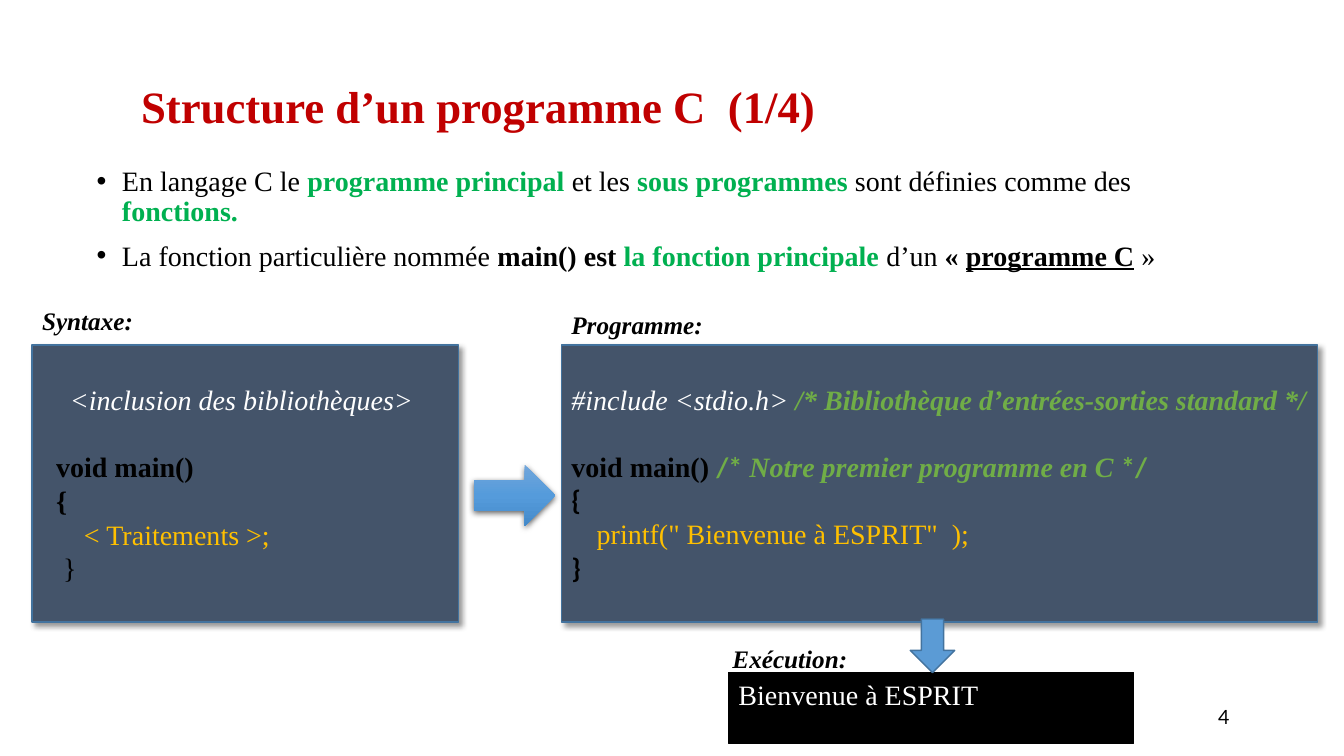
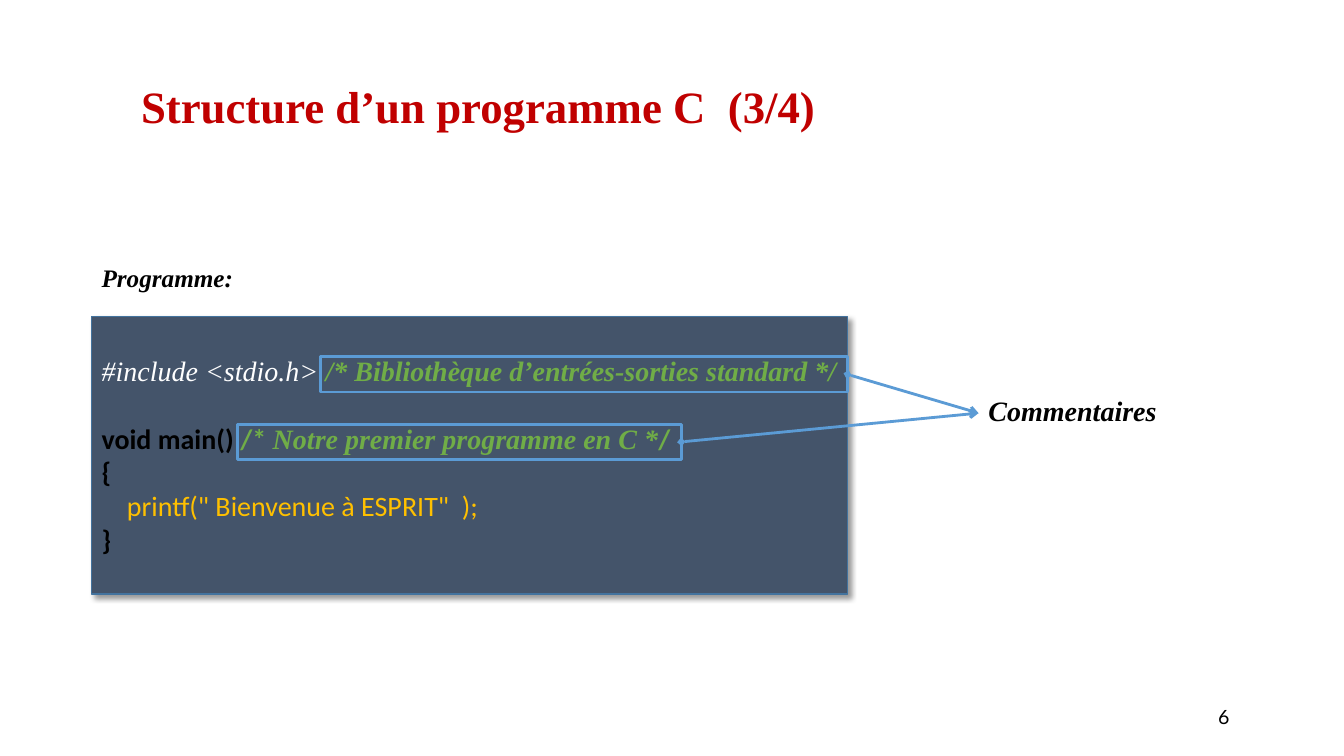
from copy import deepcopy

from lxml.etree import SubElement
from pptx import Presentation
from pptx.dml.color import RGBColor
from pptx.enum.shapes import MSO_CONNECTOR, MSO_SHAPE
from pptx.enum.text import MSO_ANCHOR, MSO_AUTO_SIZE, PP_ALIGN
from pptx.oxml.ns import qn
from pptx.util import Cm, Pt

SERIF, SANS, LATO = "Times New Roman", "Calibri", "Lato"
BLACK, WHITE, RED, GREEN = "000000", "FFFFFF", "C00000", "00B050"
SLATE, EDGE, BLUE = "44546A", "43739E", "5B9BD5"
LEAF, GOLD = "70AD47", "FFC000"
CODE_W, CODE_H = 19.05, 6.99
LINE_GAP = 24


def hue(code):
    """Turn a hex string into a colour."""
    return RGBColor.from_string(code)


def place(shape, box):
    """Move a shape to a box given in centimetres."""
    shape.left, shape.top, shape.width, shape.height = map(Cm, box)


def write(shape, lines, size, gaps=None, anchor=MSO_ANCHOR.TOP):
    """Fill a shape with lines of runs: text, colour, marks, font."""
    frame = shape.text_frame
    frame.vertical_anchor = anchor
    for row, line in enumerate(lines):
        para = frame.paragraphs[0] if row == 0 else frame.add_paragraph()
        para.alignment = PP_ALIGN.LEFT
        para.space_before = Pt((gaps or {}).get(row, 0))
        for text, color, marks, face in line:
            run = para.add_run()
            run.text = text
            font = run.font
            font.size, font.name = Pt(size), face
            font.color.rgb = hue(color)
            font.bold, font.italic = "b" in marks, "i" in marks
            font.underline = "u" in marks
    return frame


def label(slide, box, text, size=18):
    """Add a bold italic caption."""
    shape = slide.shapes.add_textbox(*map(Cm, box))
    frame = write(shape, [[(text, BLACK, "bi", SERIF)]], size)
    frame.word_wrap = False
    return shape


def block(slide, kind, box, fill=None, edge=None, width=1):
    """Add a preset shape with a plain fill and line."""
    shape = slide.shapes.add_shape(kind, *map(Cm, box))
    shape.shadow.inherit = False
    if fill:
        shape.fill.solid()
        shape.fill.fore_color.rgb = hue(fill)
    else:
        shape.fill.background()
    if edge:
        shape.line.color.rgb = hue(edge)
        shape.line.width = Pt(width)
    else:
        shape.line.fill.background()
    return shape


def shade(shape, alpha, blur, dist, angle):
    """Give a shape a black outer shadow."""
    effects = shape._element.spPr.find(qn("a:effectLst"))
    outer = SubElement(effects, qn("a:outerShdw"), blurRad=str(Pt(blur)),
                       dist=str(Pt(dist)), dir=str(angle * 60000),
                       algn="t", rotWithShape="0")
    color = SubElement(outer, qn("a:srgbClr"), val=BLACK)
    SubElement(color, qn("a:alpha"), val=str(alpha * 1000))


def panel(slide, box):
    """Add a shaded slate panel for code."""
    shape = block(slide, MSO_SHAPE.RECTANGLE, box, SLATE, EDGE)
    shade(shape, 40, 4, 3, 45)
    return shape


def syntax(slide, x, y):
    """Show the general syntax with its caption."""
    label(slide, (x, y - 1.12, 2.82, 1.02), "Syntaxe:")
    shape = panel(slide, (x, y, 10.74, CODE_H))
    write(shape, [
        [("    <inclusion des bibliothèques>", WHITE, "i", SERIF)],
        [("  void main()", BLACK, "b", SERIF)],
        [("  ", WHITE, "", SERIF), ("{", BLACK, "b", SERIF)],
        [("      < Traitements >;", GOLD, "", SERIF)],
        [("   }", BLACK, "", SERIF)],
    ], 20, {1: LINE_GAP}, MSO_ANCHOR.MIDDLE)


def program(slide, x, y, rise, face, note):
    """Show the sample program with its caption."""
    label(slide, (x, y - rise, 3.86, 1.02), "Programme:")
    shape = panel(slide, (x, y, CODE_W, CODE_H))
    start, middle, end = note
    frame = write(shape, [
        [("#include <stdio.h> ", WHITE, "i", SERIF),
         ("/* Bibliothèque d’entrées-sorties standard */", LEAF, "bi", SERIF)],
        [("void main() ", BLACK, "b", face), (start, LEAF, "b", SANS),
         (middle, LEAF, "bi", SERIF), (end, LEAF, "b", SANS)],
        [("{", BLACK, "b", SANS)],
        [("    ", WHITE, "", SANS),
         ("printf(\" Bienvenue à ESPRIT\"  );", GOLD, "", face)],
        [("}", BLACK, "b", SANS)],
    ], 20, {1: LINE_GAP})
    frame.margin_top = Cm(0.94)


def result(slide, x, y):
    """Show the console output with its caption and arrow."""
    screen = block(slide, MSO_SHAPE.RECTANGLE, (x, y, 10.21, 1.8),
                   BLACK, BLACK)
    write(screen, [[("Bienvenue à ESPRIT", WHITE, "", SERIF)]], 20)
    block(slide, MSO_SHAPE.DOWN_ARROW, (x + 4.58, y - 1.34, 1.12, 1.35),
          BLUE, EDGE)
    label(slide, (x - 0.15, y - 0.86, 3.43, 1.02), "Exécution:")


def arrow(slide, box):
    """Add the shaded gradient arrow."""
    shape = block(slide, MSO_SHAPE.RIGHT_ARROW, box)
    fill = shape.fill
    fill.gradient()
    fill.gradient_angle = 270
    stops = shape._element.spPr.find(".//" + qn("a:gsLst"))
    stops.append(deepcopy(stops[0]))
    tones = ((0, "71A6DB"), (0.5, "559BDB"), (1, "448ACA"))
    for stop, (spot, color) in zip(fill.gradient_stops, tones):
        stop.position = spot
        stop.color.rgb = hue(color)
    shade(shape, 63, 4.5, 1.5, 90)


def link(slide, start, end):
    """Join the right of one shape to the left of another."""
    line = slide.shapes.add_connector(MSO_CONNECTOR.STRAIGHT, 0, 0, 0, 0)
    line.begin_connect(start, 3)
    line.end_connect(end, 1)
    line.line.color.rgb = hue(BLUE)
    line.line.width = Pt(2)
    stroke = line.line._get_or_add_ln()
    SubElement(stroke, qn("a:headEnd"), type="diamond")
    SubElement(stroke, qn("a:tailEnd"), type="arrow")
    SubElement(line._element.spPr, qn("a:effectLst"))


def remarks(slide, x, y):
    """Frame the comments of the program at x, y and name them."""
    name = label(slide, (x + 22.35, y + 1.82, 4.93, 1.22), "Commentaires", 20)
    for dx, dy, width in ((5.77, 1.01, 13.28), (3.68, 2.71, 11.18)):
        frame = block(slide, MSO_SHAPE.RECTANGLE,
                      (x + dx, y + dy, width, 0.89), None, BLUE, 2)
        link(slide, frame, name)


def points(slide, box):
    """Fill the body placeholder with the bulleted list."""
    body = slide.placeholders[1]
    place(body, box)
    frame = write(body, [
        [("En langage C le ", BLACK, "", SERIF),
         ("programme principal ", GREEN, "b", SERIF),
         ("et les ", BLACK, "", SERIF),
         ("sous programmes ", GREEN, "b", SERIF),
         ("sont définies comme des ", BLACK, "", SERIF),
         ("fonctions.", GREEN, "b", SERIF)],
        [("La fonction particulière nommée ", BLACK, "", SERIF),
         ("main() est ", BLACK, "b", SERIF),
         ("la fonction principale ", GREEN, "b", SERIF),
         ("d’un", BLACK, "", SERIF),
         (" « ", BLACK, "b", SERIF),
         ("programme C", BLACK, "bu", SERIF),
         (" »", BLACK, "", SERIF)],
    ], 20, {1: 10})
    frame.auto_size = MSO_AUTO_SIZE.NONE
    for para in frame.paragraphs:
        para.line_spacing = 0.9
        props = para._p.get_or_add_pPr()
        props.set("marL", str(Cm(0.64)))
        props.set("indent", str(-Cm(0.64)))


def page(deck, layout, part, number):
    """Add a slide with its title and number."""
    slide = deck.slides.add_slide(deck.slide_layouts[layout])
    title = slide.shapes.title
    place(title, (3.3, 1.7, 22.86, 2.11))
    text = f"Structure d’un programme C  ({part}/4)"
    frame = write(title, [[(text, RED, "b", SERIF)]], 32,
                  anchor=MSO_ANCHOR.MIDDLE)
    frame.auto_size = MSO_AUTO_SIZE.NONE
    frame.paragraphs[0].line_spacing = 0.9
    foot = slide.shapes.add_textbox(*map(Cm, (30.45, 17.42, 2.74, 1.27)))
    write(foot, [[(str(number), BLACK, "", LATO)]], 14,
          anchor=MSO_ANCHOR.MIDDLE).word_wrap = True
    return slide


def main():
    """Build and save the deck."""
    deck = Presentation()
    deck.slide_width, deck.slide_height = Cm(33.87), Cm(19.05)

    first = page(deck, 1, 1, 4)
    points(first, (2.18, 4.09, 29.16, 3.76))
    syntax(first, 0.81, 8.69)
    arrow(first, (11.94, 11.71, 2.06, 1.55))
    program(first, 14.15, 8.69, 1.02, SERIF,
            ("/*", " Notre premier programme en C ", "*/"))
    result(first, 18.36, 16.94)

    second = page(deck, 5, 3, 6)
    program(second, 2.31, 7.98, 1.5, SANS,
            ("/* ", "Notre premier programme en C *", "/"))
    remarks(second, 2.31, 7.98)

    deck.save("out.pptx")


if __name__ == "__main__":
    main()
